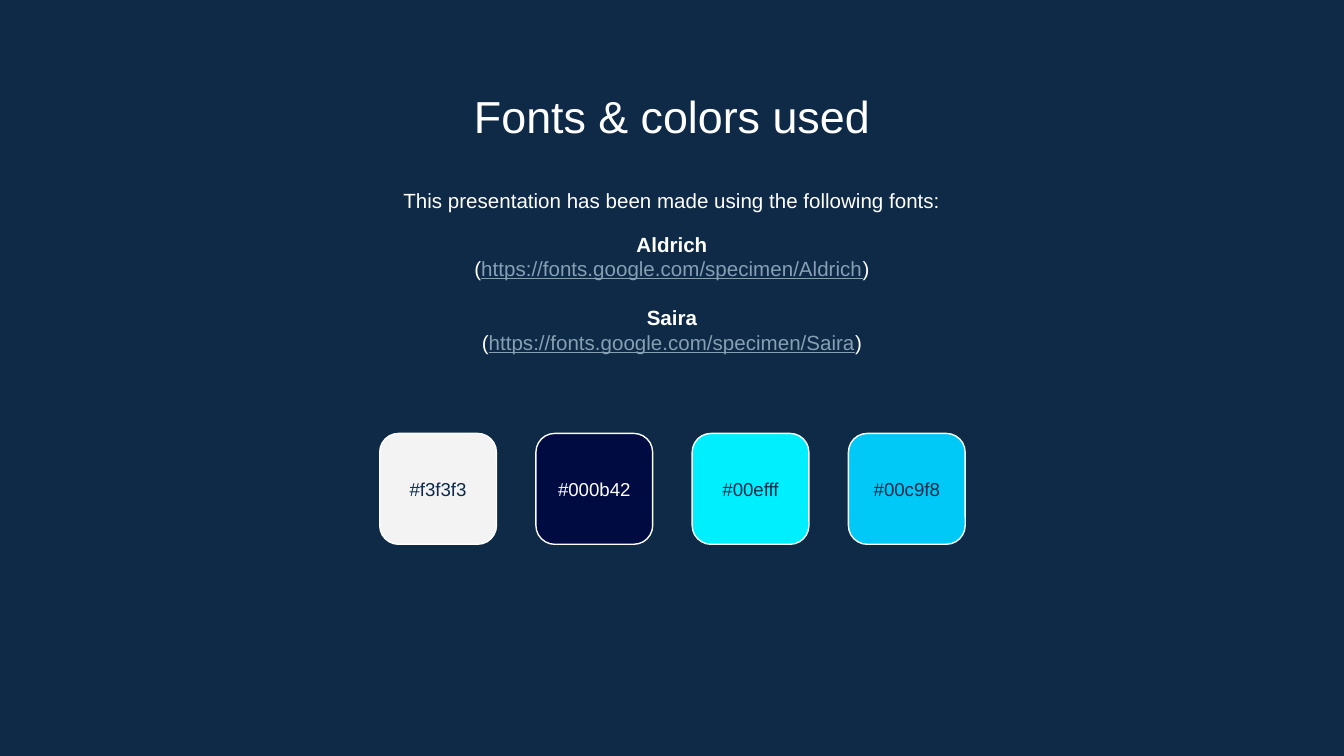
"""Build the fonts and colors slide."""
from pptx import Presentation
from pptx.dml.color import RGBColor
from pptx.enum.shapes import MSO_SHAPE
from pptx.enum.text import MSO_ANCHOR, PP_ALIGN
from pptx.util import Pt

PX = 5715
NAVY = RGBColor(0x0E, 0x2A, 0x47)
WHITE = RGBColor(0xFF, 0xFF, 0xFF)
LINK = RGBColor(0x86, 0x9F, 0xB2)
SWATCHES = [("#f3f3f3", NAVY), ("#000b42", WHITE), ("#00efff", NAVY), ("#00c9f8", NAVY)]
FONTS = [("Aldrich", 10), ("Saira", 13)]


def place(sp, *box):
    for name, value in zip(("left", "top", "width", "height"), box):
        setattr(sp, name, value * PX)


def add_text(p, text, size, color, **styles):
    p.alignment = PP_ALIGN.CENTER
    r = p.add_run()
    r.text = text
    r.font.color.rgb = color
    values = {"name": "Arial", "size": Pt(size), "bold": False, **styles}
    for name, value in values.items():
        setattr(r.font, name, value)


prs = Presentation()
prs.slide_width, prs.slide_height = 1600 * PX, 900 * PX
s = prs.slides.add_slide(prs.slide_layouts[5])
s.background.fill.solid()
s.background.fill.fore_color.rgb = NAVY

title = s.shapes.title
place(title, 125, 90, 1350, 85)
body = s.shapes.add_textbox(125 * PX, 208 * PX, 1350 * PX, 250 * PX)
for sp in (title, body):
    tf = sp.text_frame
    values = {"word_wrap": True, "vertical_anchor": MSO_ANCHOR.TOP}
    values |= {f"margin_{side}": 16 * PX for side in ("left", "top", "right", "bottom")}
    for name, value in values.items():
        setattr(tf, name, value)

add_text(title.text_frame.paragraphs[0], "Fonts & colors used", 24, WHITE)

tf = body.text_frame
add_text(tf.paragraphs[0], "This presentation has been made using the following fonts:", 11, WHITE)
for font, gap in FONTS:
    p = tf.add_paragraph()
    p.space_before = Pt(gap)
    add_text(p, font, 11, WHITE, bold=True)
    p = tf.add_paragraph()
    add_text(p, "(", 11, WHITE)
    add_text(p, f"https://fonts.google.com/specimen/{font}", 11, LINK, underline=True)
    add_text(p, ")", 11, WHITE)

for i, (code, color) in enumerate(SWATCHES):
    sp = s.shapes.add_shape(MSO_SHAPE.ROUNDED_RECTANGLE, (452 + 186 * i) * PX, 516 * PX, 139 * PX, 132 * PX)
    sp.shadow.inherit = False
    sp.adjustments[0] = 0.17
    sp.fill.solid()
    sp.fill.fore_color.rgb = RGBColor.from_string(code[1:].upper())
    sp.line.color.rgb = WHITE
    sp.line.width = Pt(0.75)
    tf = sp.text_frame
    tf.vertical_anchor = MSO_ANCHOR.MIDDLE
    add_text(tf.paragraphs[0], code, 10, color)

prs.save("out.pptx")
